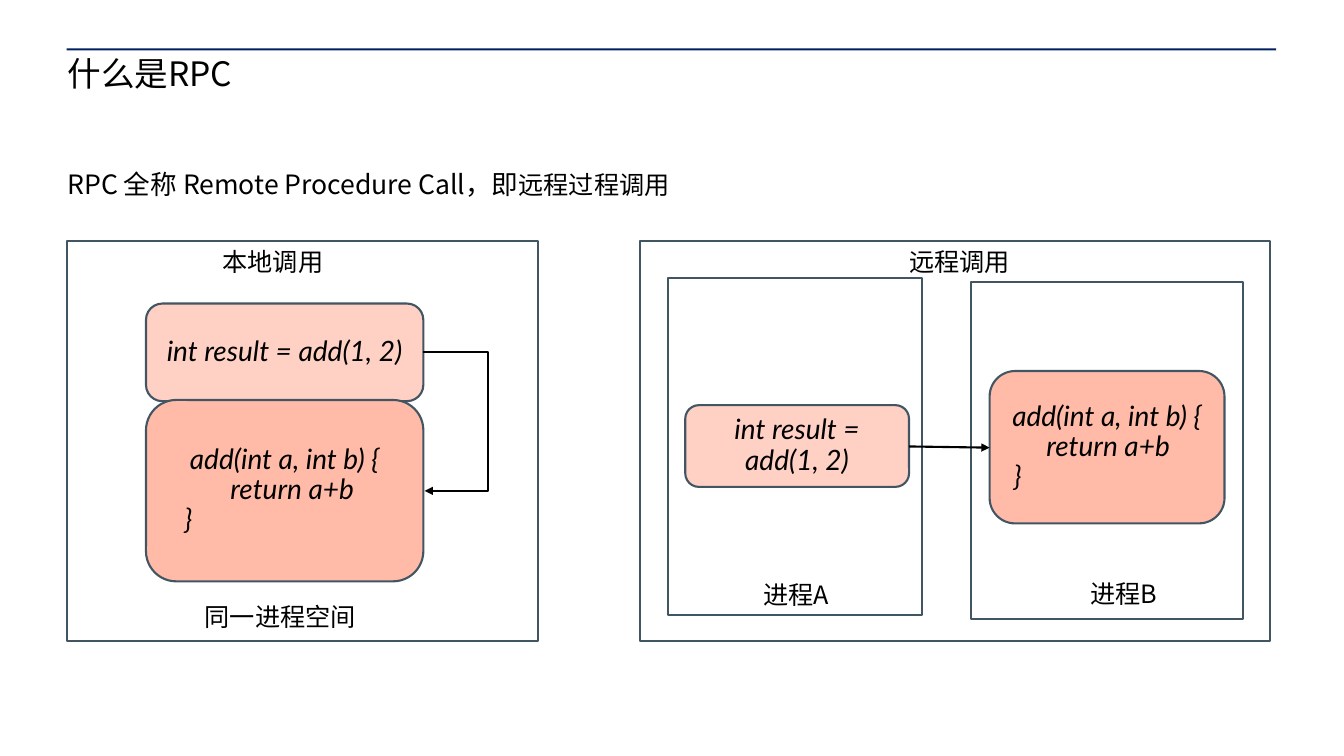
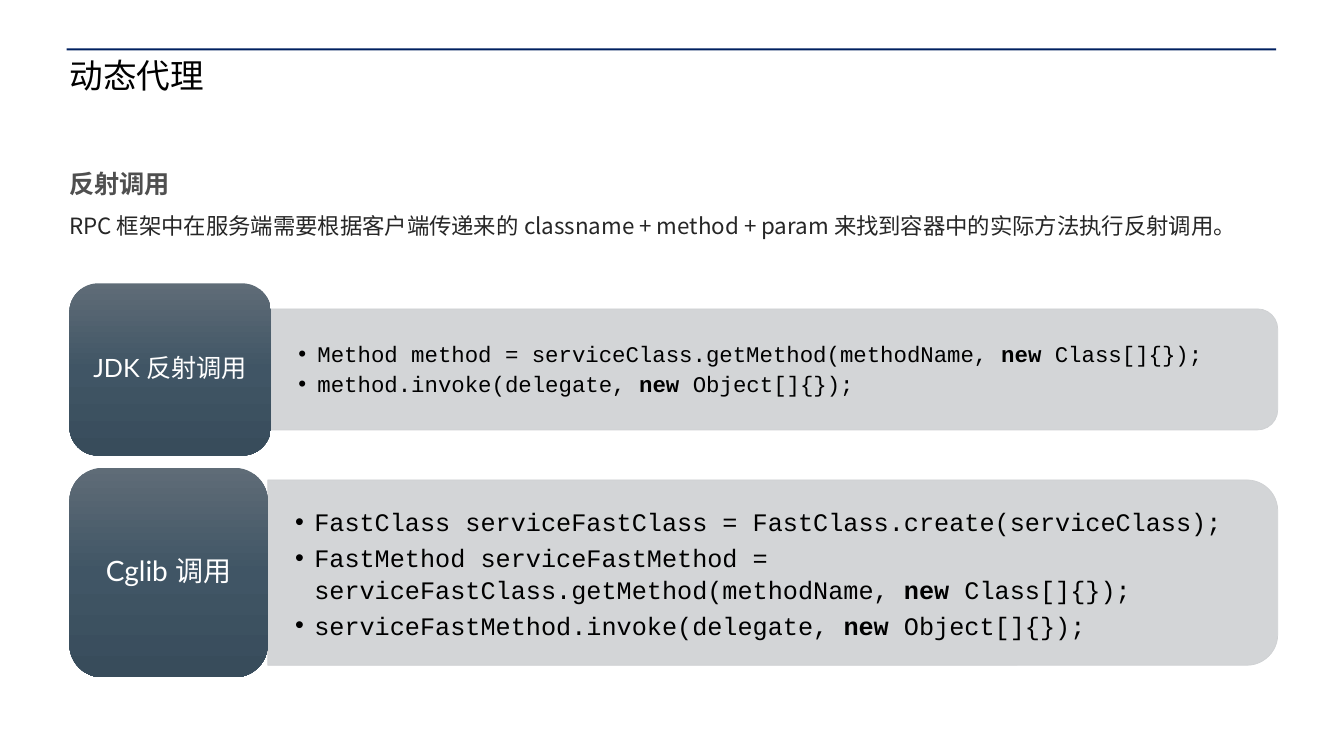
"""Build two slides that explain RPC and reflective calls."""
from pptx import Presentation
from pptx import util as u
from pptx.dml.color import RGBColor
from pptx.enum import shapes, text
from pptx.oxml import parse_xml
from pptx.oxml.ns import nsdecls, qn
from lxml import etree

COLORS = {
    "rule": "002060", "ink": "000000", "heading": "4F4F4F", "body": "262626",
    "outline": "425563", "caller": "FFD1C5", "callee": "FFBBA7",
    "bar": "CFD1D3", "white": "FFFFFF",
}
GRADIENT = [(0, "5F6C77"), (50, "405565"), (100, "384C5B")]
CJK, LATIN, MONO = "Noto Sans CJK SC", "Lato", "Courier New"

TITLE = {"size": 24, "name": CJK, "color": "ink"}
INTRO = {"size": 19, "name": CJK, "color": "ink"}
LABEL = {"size": 18, "name": CJK, "color": "ink"}
HEADING = {"size": 18, "name": CJK, "color": "heading", "bold": True}
BODY = {"size": 16, "name": CJK, "color": "body"}
CODE = {"size": 20, "name": LATIN, "color": "ink", "italic": True}

RULE = (1.68, 1.22, 30.48, 0.05)
CALL = "int result = add(1, 2)"
FRAMES = [
    (1.7, 6.07, 11.86, 10.08), (16.13, 6.07, 15.88, 10.08),
    (16.84, 7.01, 6.4, 8.48), (24.46, 7.11, 6.86, 8.48),
]
CARDS = [
    ((3.68, 7.65, 6.99, 2.46), "caller", [CALL]),
    ((3.68, 10.08, 6.99, 4.57), "callee",
     ["add(int a, int b) {", "          return a+b", "   }"]),
    ((17.27, 10.21, 5.64, 2.06), "caller", [CALL]),
    ((24.94, 9.35, 5.92, 3.84), "callee",
     ["add(int a, int b) {", "      return a+b", " }"]),
]
LABELS = [
    (5.61, 6.3, "本地调用"), (5.16, 15.24, "同一进程空间"),
    (22.91, 6.3, "远程调用"), (19.23, 14.68, "进程A"), (27.48, 14.66, "进程B"),
]
LOCAL_ARROW = (10.67, 8.86, 10.7, 12.37)
LOCAL_ARROW_REACH = 1.63
REMOTE_ARROW = (22.91, 11.25, 24.94, 11.28)

BAR_RIGHT = 32.2
CALL_STYLES = [
    {"name": "JDK 反射调用", "tile": (1.75, 7.14, 5.08, 4.34), "name_size": 18,
     "bar_height": 3.05, "code_size": 16, "spacing": 0.95,
     "code": ["Method method = serviceClass.getMethod(methodName, new Class[]{});",
              "method.invoke(delegate, new Object[]{});"]},
    {"name": "Cglib 调用", "tile": (1.75, 11.79, 5, 5.28), "name_size": 20,
     "bar_height": 4.67, "code_size": 18, "spacing": 1.05,
     "code": ["FastClass serviceFastClass = FastClass.create(serviceClass);",
              "FastMethod serviceFastMethod = serviceFastClass.getMethod(methodName, new Class[]{});",
              "serviceFastMethod.invoke(delegate, new Object[]{});"]},
]


def cm(values):
    return [u.Cm(value) for value in values]


def rgb(name):
    return RGBColor.from_string(COLORS[name])


def add_run(paragraph, words, style):
    run = paragraph.add_run()
    run.text = words
    for key, value in style.items():
        if key == "color":
            run.font.color.rgb = rgb(value)
        else:
            setattr(run.font, key, u.Pt(value) if key == "size" else value)
    east_asian = etree.SubElement(run.font._element, qn("a:ea"))
    east_asian.set("typeface", CJK)


def prepare_frame(shape, margins=(0, 0), anchor=text.MSO_ANCHOR.TOP):
    frame = shape.text_frame
    horizontal, vertical = cm(margins)
    settings = {
        "word_wrap": True, "auto_size": text.MSO_AUTO_SIZE.NONE,
        "vertical_anchor": anchor, "margin_left": horizontal,
        "margin_right": horizontal, "margin_top": vertical, "margin_bottom": vertical,
    }
    for key, value in settings.items():
        setattr(frame, key, value)
    return frame


def add_paragraph(frame, first, spacing=0.9, align=text.PP_ALIGN.LEFT, after=0):
    paragraph = frame.paragraphs[0] if first else frame.add_paragraph()
    settings = {"line_spacing": spacing, "alignment": align,
                "space_before": u.Pt(0), "space_after": u.Pt(after)}
    for key, value in settings.items():
        setattr(paragraph, key, value)
    return paragraph


def place(shape, box):
    for key, value in zip(("left", "top", "width", "height"), cm(box)):
        setattr(shape, key, value)


def add_shape(slide, kind, box, fill=None, line=None, weight=1.5):
    shape = slide.shapes.add_shape(kind, *cm(box))
    shape.shadow.inherit = False
    if fill:
        shape.fill.solid()
        shape.fill.fore_color.rgb = rgb(fill)
    else:
        shape.fill.background()
    if line:
        shape.line.color.rgb = rgb(line)
        shape.line.width = u.Pt(weight)
    else:
        shape.line.fill.background()
    return shape


def add_text(slide, box, lines, spacing=0.9):
    frame = prepare_frame(slide.shapes.add_textbox(*cm(box)))
    for index, (words, style) in enumerate(lines):
        add_run(add_paragraph(frame, index == 0, spacing), words, style)


def add_slide(presentation, layout, title, box):
    slide = presentation.slides.add_slide(presentation.slide_layouts[layout])
    place(slide.shapes.title, box)
    frame = prepare_frame(slide.shapes.title)
    add_run(add_paragraph(frame, True), title, TITLE)
    return slide


def add_arrow(slide, kind, ends, reach=None):
    connector = slide.shapes.add_connector(kind, *cm(ends))
    connector.line.color.rgb = rgb("ink")
    connector.line.width = u.Pt(1.5)
    properties = connector._element.spPr
    if reach:
        bend = round(reach / (ends[2] - ends[0]) * 100000)
        geometry = properties.find(qn("a:prstGeom"))
        guide = etree.SubElement(geometry.find(qn("a:avLst")), qn("a:gd"))
        guide.set("name", "adj1")
        guide.set("fmla", f"val {bend}")
    head = etree.SubElement(properties.find(qn("a:ln")), qn("a:tailEnd"))
    head.set("type", "triangle")
    etree.SubElement(properties, qn("a:effectLst"))


def add_card(slide, box, fill, lines):
    card = add_shape(slide, shapes.MSO_SHAPE.ROUNDED_RECTANGLE, box, fill, "outline")
    frame = prepare_frame(card, (0.25, 0.13), text.MSO_ANCHOR.MIDDLE)
    for index, words in enumerate(lines):
        align = text.PP_ALIGN.LEFT if index else text.PP_ALIGN.CENTER
        add_run(add_paragraph(frame, index == 0, align=align), words, CODE)


def add_bar(slide, left, middle, width, height):
    box = (left + (width - height) / 2, middle - width / 2, height, width)
    bar = add_shape(slide, shapes.MSO_SHAPE.ROUND_2_SAME_RECTANGLE, box, "bar", "bar", 0.5)
    bar.rotation = 90
    color = bar._element.spPr.find(qn("a:solidFill"))[0]
    etree.SubElement(color, qn("a:alpha")).set("val", "90000")


def add_tile(slide, box, name, size):
    tile = add_shape(slide, shapes.MSO_SHAPE.ROUNDED_RECTANGLE, box)
    stops = "".join(f'<a:gs pos="{position * 1000}"><a:srgbClr val="{color}"/></a:gs>'
                    for position, color in GRADIENT)
    gradient = parse_xml(f'<a:gradFill {nsdecls("a")} rotWithShape="1"><a:gsLst>{stops}</a:gsLst>'
                         '<a:lin ang="5400000" scaled="0"/></a:gradFill>')
    properties = tile._element.spPr
    properties.replace(properties.find(qn("a:noFill")), gradient)
    frame = prepare_frame(tile, anchor=text.MSO_ANCHOR.MIDDLE)
    paragraph = add_paragraph(frame, True, align=text.PP_ALIGN.CENTER)
    add_run(paragraph, name, {"size": size, "name": LATIN, "color": "white"})


def fill_code_list(slide, placeholder, box, call_style):
    place(placeholder, box)
    slide.shapes.element.append(placeholder.element)
    frame = prepare_frame(placeholder, (0.69, 0.36), text.MSO_ANCHOR.MIDDLE)
    style = {"size": call_style["code_size"], "name": MONO, "color": "ink"}
    for index, line in enumerate(call_style["code"]):
        paragraph = add_paragraph(frame, index == 0, call_style["spacing"], after=3)
        indent = u.Cm(0.48)
        properties = paragraph._p.get_or_add_pPr()
        properties.set("marL", str(indent))
        properties.set("indent", str(-indent))
        for part in filter(None, line.partition("new")):
            add_run(paragraph, part, {**style, "bold": part == "new"})


def build_rpc_slide(presentation):
    slide = add_slide(presentation, 5, "什么是RPC", (1.7, 1.45, 30.45, 2.36))
    rule = add_shape(slide, shapes.MSO_SHAPE.RECTANGLE, RULE, "rule")
    presentation.slide_master.shapes.element.append(rule.element)
    add_text(slide, (1.7, 3.84, 28.9, 1.75), [], 1.5)
    intro = add_paragraph(slide.shapes[-1].text_frame, True, 1.5, after=5)
    add_run(intro, "RPC 全称 Remote Procedure Call，即", INTRO)
    add_run(intro, "远程过程调用", LABEL)
    for box in FRAMES:
        add_shape(slide, shapes.MSO_SHAPE.RECTANGLE, box, line="outline")
    for card in CARDS:
        add_card(slide, *card)
    for left, top, words in LABELS:
        add_text(slide, (left, top, 5, 0.9), [(words, LABEL)])
    add_arrow(slide, shapes.MSO_CONNECTOR.ELBOW, LOCAL_ARROW, LOCAL_ARROW_REACH)
    add_arrow(slide, shapes.MSO_CONNECTOR.STRAIGHT, REMOTE_ARROW)


def build_proxy_slide(presentation):
    slide = add_slide(presentation, 3, "动态代理", (1.75, 1.5, 30.45, 2.36))
    add_text(slide, (1.75, 3.86, 30.45, 2.92), [
        ("反射调用", HEADING),
        ("RPC 框架中在服务端需要根据客户端传递来的 classname + method + param "
         "来找到容器中的实际方法执行反射调用。", BODY),
    ], 1.5)
    code_lists = list(slide.placeholders)[1:]
    for call_style, placeholder in zip(CALL_STYLES, code_lists):
        left, top, width, height = call_style["tile"]
        bar_left, middle = left + width, top + height / 2
        bar_width, bar_height = BAR_RIGHT - bar_left, call_style["bar_height"]
        add_bar(slide, bar_left, middle, bar_width, bar_height)
        box = (bar_left, middle - bar_height / 2, bar_width, bar_height)
        fill_code_list(slide, placeholder, box, call_style)
        add_tile(slide, call_style["tile"], call_style["name"], call_style["name_size"])


def main():
    presentation = Presentation()
    presentation.slide_width, presentation.slide_height = cm((33.87, 19.05))
    build_rpc_slide(presentation)
    build_proxy_slide(presentation)
    presentation.save("out.pptx")


if __name__ == "__main__":
    main()
